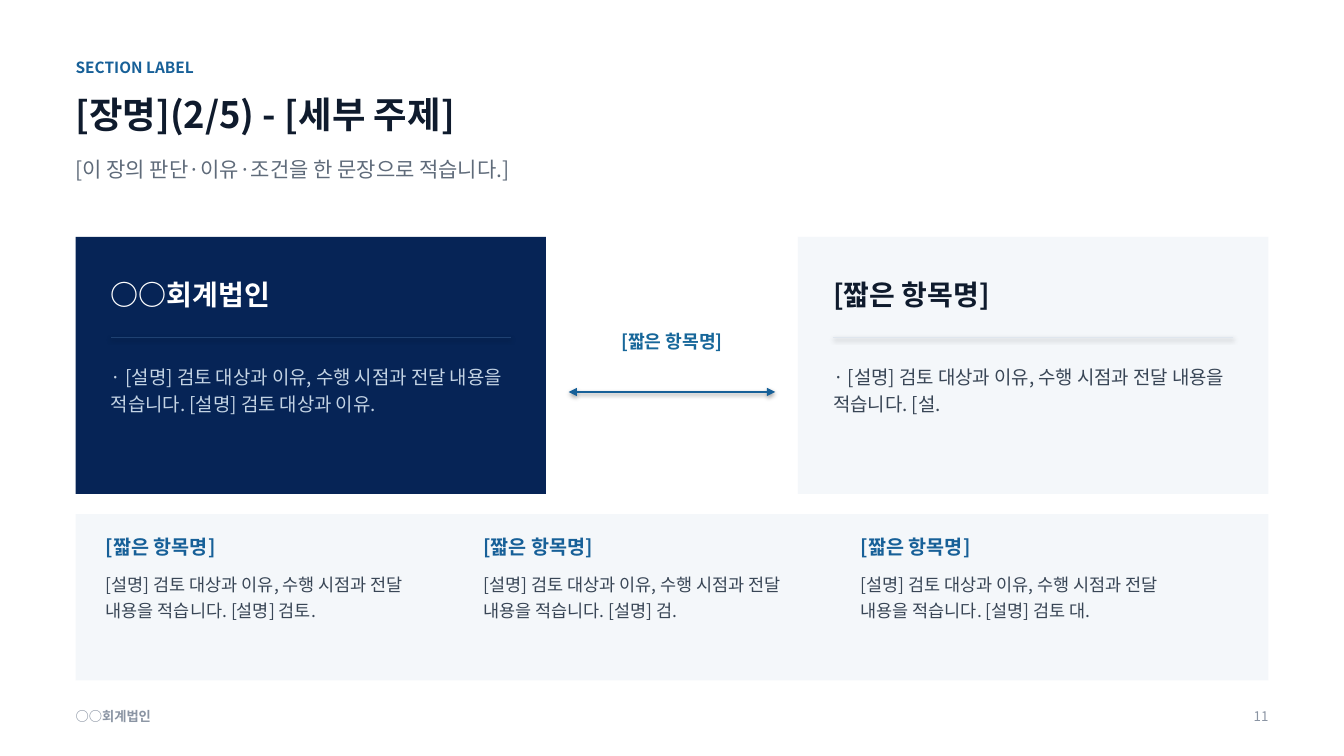
"""Build a slide with two linked parties above a strip of three notes."""
from lxml import etree
from pptx import Presentation
from pptx.dml.color import RGBColor
from pptx.enum.shapes import MSO_CONNECTOR, MSO_SHAPE
from pptx.enum.text import MSO_ANCHOR, PP_ALIGN
from pptx.oxml.ns import qn
from pptx.util import Pt

RECTANGLE = MSO_SHAPE.RECTANGLE
STRAIGHT = MSO_CONNECTOR.STRAIGHT
LEFT, CENTER, RIGHT = PP_ALIGN.LEFT, PP_ALIGN.CENTER, PP_ALIGN.RIGHT
TOP, MIDDLE = MSO_ANCHOR.TOP, MSO_ANCHOR.MIDDLE
FONT = "Noto Sans CJK KR"
NAVY, BLUE, INK, BODY, PALE = "062456", "176098", "0F1B2D", "394656", "F4F7FA"
MARGIN, CONTENT_WIDTH = 54, 852
FIRM, ITEM = "○○회계법인", "[짧은 항목명]"
DESCRIPTION = "[설명] 검토 대상과 이유, 수행 시점과 전달 내용을 적습니다."


def color(value):
    return RGBColor.from_string(value)


def add_text(left, top, width, height, text, size, ink, bold=False,
             spacing=1.15, after=0, align=LEFT, anchor=TOP):
    box = page.shapes.add_textbox(Pt(left), Pt(top), Pt(width), Pt(height))
    frame = box.text_frame
    frame_format = {"word_wrap": True, "vertical_anchor": anchor,
                    "margin_left": 0, "margin_top": 0,
                    "margin_right": 0, "margin_bottom": 0}
    for name, value in frame_format.items():
        setattr(frame, name, value)
    para = frame.paragraphs[0]
    para_format = {"alignment": align, "line_spacing": spacing, "space_after": Pt(after)}
    for name, value in para_format.items():
        setattr(para, name, value)
    span = para.add_run()
    span.text = text
    for name, value in {"name": FONT, "size": Pt(size), "bold": bold}.items():
        setattr(span.font, name, value)
    span.font.color.rgb = color(ink)
    east_asian = etree.SubElement(span.font._element, qn("a:ea"))
    east_asian.set("typeface", FONT)


deck = Presentation()
deck.slide_width, deck.slide_height = Pt(960), Pt(540)
page = deck.slides.add_slide(deck.slide_layouts[6])

add_text(MARGIN, 39.6, 648, 18, "SECTION LABEL", 11, BLUE, bold=True)
add_text(MARGIN, 61.2, CONTENT_WIDTH, 43.2, "[장명](2/5) - [세부 주제]", 26, INK, bold=True)
add_text(MARGIN, 109.4, CONTENT_WIDTH, 45.4,
         "[이 장의 판단·이유·조건을 한 문장으로 적습니다.]", 15, "5F6B7A")
add_text(MARGIN, 504, 432, 15.8, FIRM, 9.5, "8A94A3", bold=True)
add_text(834, 504, 72, 15.8, "11", 9.5, "8A94A3", align=RIGHT)

panels = [
    (MARGIN, 169.2, 336, 183.6, NAVY),
    (570, 169.2, 336, 183.6, PALE),
    (MARGIN, 367.2, CONTENT_WIDTH, 118.8, PALE),
]
for left, top, width, height, fill in panels:
    panel = page.shapes.add_shape(RECTANGLE, Pt(left), Pt(top), Pt(width), Pt(height))
    panel.shadow.inherit = False
    panel.fill.solid()
    panel.fill.fore_color.rgb = color(fill)
    panel.line.fill.background()

rules = [
    (79.2, 364.8, 241.2, "1F4172", 0.75),
    (595.2, 880.8, 241.2, "DFE6EE", 0.75),
    (406.2, 553.8, 280, BLUE, 1.5),
]
for start, end, height, ink, weight in rules:
    rule = page.shapes.add_connector(STRAIGHT, Pt(start), Pt(height), Pt(end), Pt(height))
    rule.line.color.rgb = color(ink)
    rule.line.width = Pt(weight)
for tag in ("a:headEnd", "a:tailEnd"):
    arrowhead = etree.SubElement(rule.line._get_or_add_ln(), qn(tag))
    arrowhead.set("type", "triangle")

parties = [
    (79.2, FIRM, "FFFFFF", " [설명] 검토 대상과 이유.", "C3D3E4"),
    (595.2, ITEM, INK, " [설.", BODY),
]
for left, heading, heading_ink, ending, body_ink in parties:
    add_text(left, 194.4, 285.6, 32.4, heading, 20, heading_ink, bold=True)
    add_text(left, 257.8, 285.6, 79.2, "· " + DESCRIPTION + ending, 13.5, body_ink,
             spacing=1.2, after=5)
add_text(399, 221.8, 162, 43.2, ITEM, 13, "17679A", bold=True,
         spacing=1.0, align=CENTER, anchor=MIDDLE)

for column, ending in enumerate((" [설명] 검토.", " [설명] 검.", " [설명] 검토 대.")):
    left = 75.6 + column * 269.6
    add_text(left, 379.4, 247.6, 21.6, ITEM, 14, BLUE, bold=True)
    add_text(left, 406, 240.5, 75.6, DESCRIPTION + ending, 12.5, BODY, spacing=1.25)

deck.save("out.pptx")
